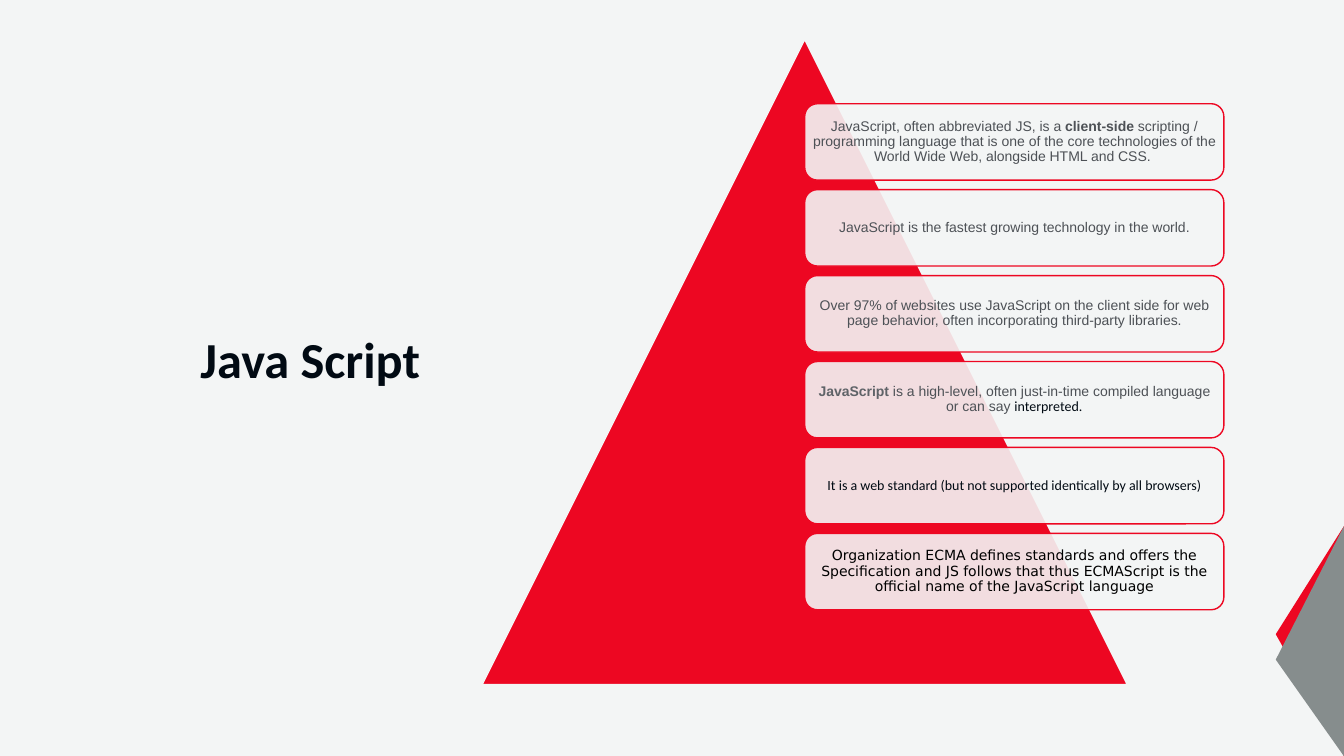
from dataclasses import dataclass

from lxml.etree import SubElement
from pptx import Presentation
from pptx.dml.color import RGBColor
from pptx.enum.shapes import MSO_SHAPE as Shape
from pptx.enum.text import MSO_ANCHOR as Anchor, PP_ALIGN as Align
from pptx.oxml.ns import qn
from pptx.util import Inches, Pt


@dataclass(frozen=True)
class Theme:
    paper: str = "F3F5F5"
    red: str = "ED0722"
    grey: str = "868D8D"
    ink: str = "010A13"
    body: str = "4D5156"
    soft: str = "5F6368"
    black: str = "000000"
    title_size: float = 36
    body_size: float = 10
    line_width: float = 1
    sans: str = "Arial"
    humanist: str = "Calibri"
    wide: str = "DejaVu Sans"


THEME = Theme()
COLUMNS, ROWS = 160, 90


@dataclass(frozen=True)
class Run:
    text: str
    font: str = THEME.sans
    color: str = THEME.body
    bold: bool = False
    size: float = THEME.body_size


class SlideBuilder:
    """Draws on one slide; places are (column, row, columns, rows)."""

    def __init__(self, presentation, theme):
        self.theme = theme
        self.cell_width = presentation.slide_width / COLUMNS
        self.cell_height = presentation.slide_height / ROWS
        self.slide = presentation.slides.add_slide(presentation.slide_layouts[6])
        background = self.slide.background.fill
        background.solid()
        background.fore_color.rgb = RGBColor.from_string(theme.paper)

    def place(self, column, row, columns, rows):
        return (round(column * self.cell_width), round(row * self.cell_height),
                round(columns * self.cell_width), round(rows * self.cell_height))

    def shape(self, kind, place, fill, line=None, opacity=None):
        shape = self.slide.shapes.add_shape(kind, *self.place(*place))
        shape.shadow.inherit = False
        shape.fill.solid()
        shape.fill.fore_color.rgb = RGBColor.from_string(fill)
        if opacity is not None:
            solid_fill = shape.element.spPr.find(qn("a:solidFill"))
            color = solid_fill.find(qn("a:srgbClr"))
            SubElement(color, qn("a:alpha")).set("val", str(opacity * 1000))
        if line:
            shape.line.color.rgb = RGBColor.from_string(line)
            shape.line.width = Pt(self.theme.line_width)
        else:
            shape.line.fill.background()
        return shape

    def triangle(self, place, fill, line=None, apex=0.5, rotation=0):
        shape = self.shape(Shape.ISOSCELES_TRIANGLE, place, fill, line)
        shape.adjustments[0] = apex
        shape.rotation = rotation

    def add_runs(self, frame, runs, align):
        frame.word_wrap = True
        frame.vertical_anchor = Anchor.MIDDLE
        paragraph = frame.paragraphs[0]
        paragraph.alignment = align
        paragraph.line_spacing = 0.9
        for item in runs:
            run = paragraph.add_run()
            run.text = item.text
            run.font.name = item.font
            run.font.size = Pt(item.size)
            run.font.bold = item.bold
            run.font.color.rgb = RGBColor.from_string(item.color)
        return paragraph

    def title(self, place, run):
        box = self.slide.shapes.add_textbox(*self.place(*place))
        self.add_runs(box.text_frame, [run], Align.RIGHT)

    def card(self, place, runs):
        shape = self.shape(Shape.ROUNDED_RECTANGLE, place, self.theme.paper,
                           self.theme.red, opacity=90)
        frame = shape.text_frame
        frame.margin_left = frame.margin_right = Inches(0.04)
        frame.margin_top = frame.margin_bottom = Inches(0.04)
        paragraph = self.add_runs(frame, runs, Align.CENTER)
        paragraph.space_after = Pt(0.35 * self.theme.body_size)


FACTS = [
    [Run("JavaScript, often abbreviated JS, is a "),
     Run("client-side ", bold=True),
     Run("scripting / programming language that is one of the core technologies "
         "of the World Wide Web, alongside HTML and CSS. ")],
    [Run("JavaScript is the fastest growing technology in the world.")],
    [Run("Over 97% of websites use JavaScript on the client side for web page "
         "behavior, often incorporating third-party libraries.")],
    [Run("JavaScript", color=THEME.soft, bold=True),
     Run(" is a high-level, often just-in-time compiled language or can say "),
     Run("interpreted.", THEME.humanist, THEME.ink)],
    [Run("It is a web standard (but not supported identically by all browsers)",
         THEME.humanist, THEME.ink)],
    [Run("Organization ECMA defines standards and offers the Specification and JS "
         "follows that thus ECMAScript is the official name of the JavaScript "
         "language", THEME.wide, THEME.black)],
]


def main():
    presentation = Presentation()
    presentation.slide_width = Inches(13.33)
    presentation.slide_height = Inches(7.5)
    builder = SlideBuilder(presentation, THEME)

    # Corner decoration
    for color, apex in ((THEME.red, 0.53), (THEME.grey, 0.42)):
        builder.triangle((142.2, 72.25, 27.5, 8.15), color, apex=apex, rotation=270)

    # Title
    builder.title((11, 4.7, 40.2, 76.8),
                  Run("Java Script", THEME.humanist, THEME.ink, True, THEME.title_size))

    # Pyramid with its list of facts
    builder.triangle((57.4, 4.7, 76.8, 76.8), THEME.red, line=THEME.paper)
    first_row, pitch = 12.35, 10.23
    for index, runs in enumerate(FACTS):
        builder.card((95.8, first_row + index * pitch, 49.9, 9.1), runs)

    presentation.save("out.pptx")


if __name__ == "__main__":
    main()
